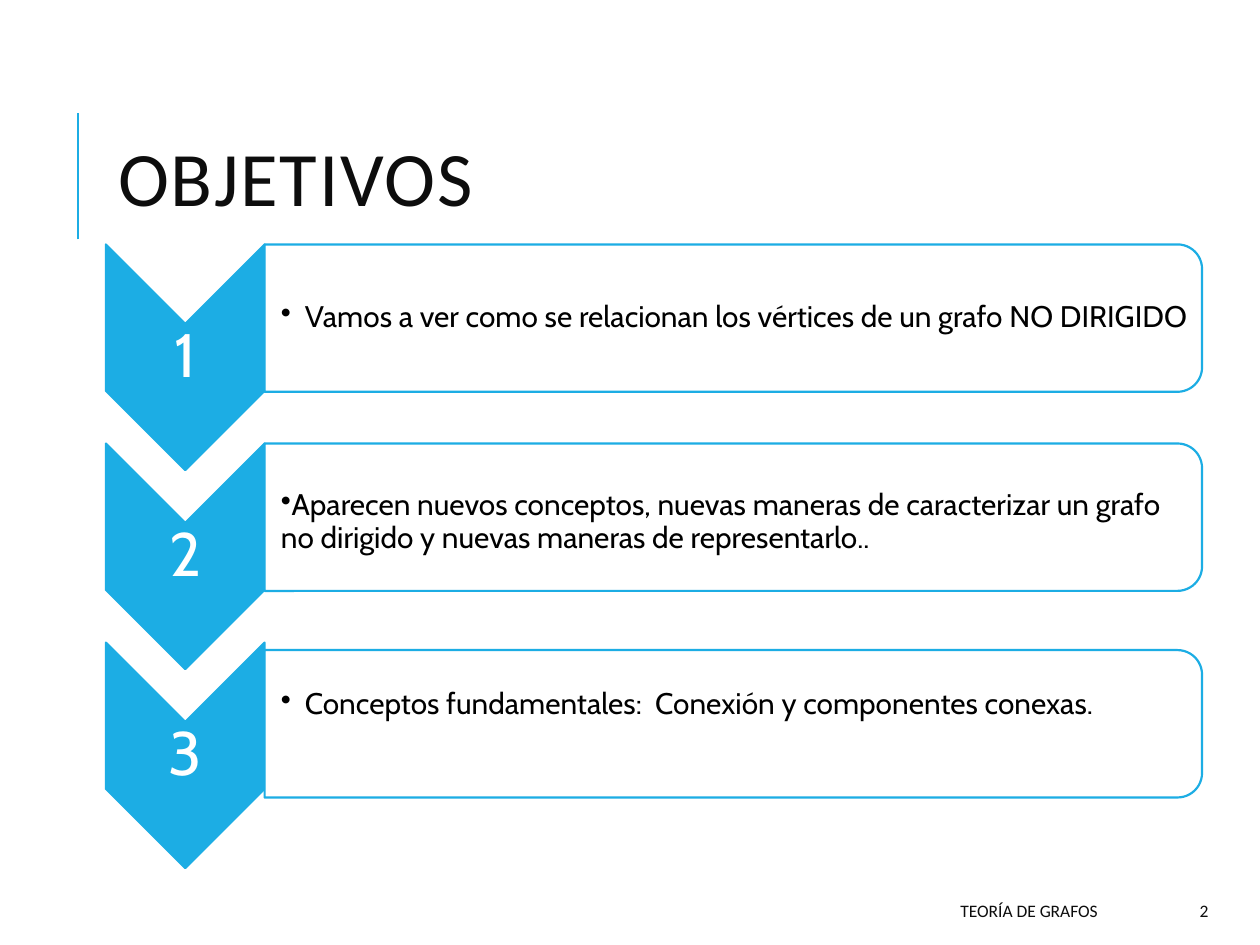
from lxml import etree
from pptx import Presentation
from pptx import util as u
from pptx.dml.color import RGBColor
from pptx.enum import shapes, text
from pptx.oxml.ns import qn

SKY = RGBColor(0x1C, 0xAD, 0xE4)
INK = RGBColor(0x0D, 0x0D, 0x0D)
BLACK = RGBColor(0, 0, 0)
WHITE = RGBColor(0xFF, 0xFF, 0xFF)

CELL = u.Inches(0.1)
COLUMNS, ROWS = 100, 75
STEP = 15.8
CHEVRON_LEFT, CHEVRON_WIDTH, CHEVRON_HEIGHT = 8.4, 12.6, 17.9
PANEL_LEFT, PANEL_WIDTH, PANEL_HEIGHT = 21, 74.4, 11.7
FIRST_TOP = 19.4

GOALS = [
    ("Vamos a ver como se relacionan los vértices de un grafo NO DIRIGIDO", 0.19, 0, 0),
    ("Aparecen nuevos conceptos, nuevas maneras de caracterizar un grafo "
     "no dirigido y nuevas maneras de representarlo..", 0, 0, 0.4),
    ("Conceptos fundamentales:  Conexión y componentes conexas.", 0.19, 0.6, -1.5),
]


def cells(*counts):
    return [round(count * CELL) for count in counts]


def add_label(slide, box, words, font, size, color, align=text.PP_ALIGN.LEFT,
              insets=(0.1, 0.05, 0.1, 0.05), spacing=1):
    label = slide.shapes.add_textbox(*cells(*box))
    frame = label.text_frame
    frame.word_wrap = True
    frame.vertical_anchor = text.MSO_ANCHOR.MIDDLE
    (frame.margin_left, frame.margin_top,
     frame.margin_right, frame.margin_bottom) = map(u.Inches, insets)
    paragraph = frame.paragraphs[0]
    paragraph.text = words
    paragraph.alignment = align
    paragraph.line_spacing = spacing
    paragraph.font.name = font
    paragraph.font.size = u.Pt(size)
    paragraph.font.color.rgb = color
    return paragraph


def add_bullet(paragraph, hanging):
    properties = paragraph._p.get_or_add_pPr()
    properties.set("marL", str(u.Inches(hanging)))
    properties.set("indent", str(-u.Inches(hanging)))
    bullet = etree.Element(qn("a:buChar"), char="•")
    properties.find(qn("a:defRPr")).addprevious(bullet)


def add_quarter_turned(slide, preset, left, top, width, height, fill):
    inset = (width - height) / 2
    outline = slide.shapes.add_shape(
        preset, *cells(left + inset, top - inset, height, width))
    outline.rotation = 90
    outline.shadow.inherit = False
    outline.fill.solid()
    outline.fill.fore_color.rgb = fill
    outline.line.color.rgb = SKY
    outline.line.width = u.Pt(1.25)
    return outline


def add_accent(slide):
    accent = slide.shapes.add_connector(
        shapes.MSO_CONNECTOR.STRAIGHT, *cells(6.2, 19, 6.2, 9))
    accent.line.color.rgb = SKY
    accent.line.width = u.Pt(1.5)
    etree.SubElement(accent._element.spPr, qn("a:effectLst"))


def add_title(slide):
    title = add_label(slide, (8.4, 6.4, 79.7, 16.4), "OBJETIVOS", "Calibri", 44, INK,
                      spacing=0.8)
    title.runs[0]._r.get_or_add_rPr().set("spc", "100")


def add_goal(slide, index, words, hanging, panel_shift, words_shift):
    top = FIRST_TOP + index * STEP
    add_quarter_turned(slide, shapes.MSO_SHAPE.CHEVRON, CHEVRON_LEFT, top,
                       CHEVRON_WIDTH, CHEVRON_HEIGHT, SKY)
    add_label(slide, (CHEVRON_LEFT, top + 6.3, CHEVRON_WIDTH, 5.4), str(index + 1),
              "Cabin", 35, WHITE, text.PP_ALIGN.CENTER, (0.02,) * 4, 0.9)

    panel_top = top + panel_shift
    panel = add_quarter_turned(slide, shapes.MSO_SHAPE.ROUND_2_SAME_RECTANGLE, PANEL_LEFT,
                               panel_top, PANEL_WIDTH, PANEL_HEIGHT, WHITE)
    tint = panel.fill._xPr.find(qn("a:solidFill"))[0]
    etree.SubElement(tint, qn("a:alpha"), val="90000")
    goal = add_label(slide, (PANEL_LEFT, panel_top + 0.6 + words_shift, 73.8, 10.5), words,
                     "Cabin", 17, BLACK, insets=(0.13, 0.01, 0.01, 0.01), spacing=0.9)
    add_bullet(goal, hanging)


def add_footer(slide):
    for left, width, words in [(39.7, 48.4, "TEORÍA DE GRAFOS"), (88.9, 8, "2")]:
        add_label(slide, (left, 70.8, width, 3), words, "Calibri", 10, INK,
                  text.PP_ALIGN.RIGHT)


def main():
    deck = Presentation()
    deck.slide_width, deck.slide_height = cells(COLUMNS, ROWS)
    slide = deck.slides.add_slide(deck.slide_layouts[6])
    add_accent(slide)
    add_title(slide)
    for index, goal in enumerate(GOALS):
        add_goal(slide, index, *goal)
    add_footer(slide)
    deck.save("out.pptx")


if __name__ == "__main__":
    main()
